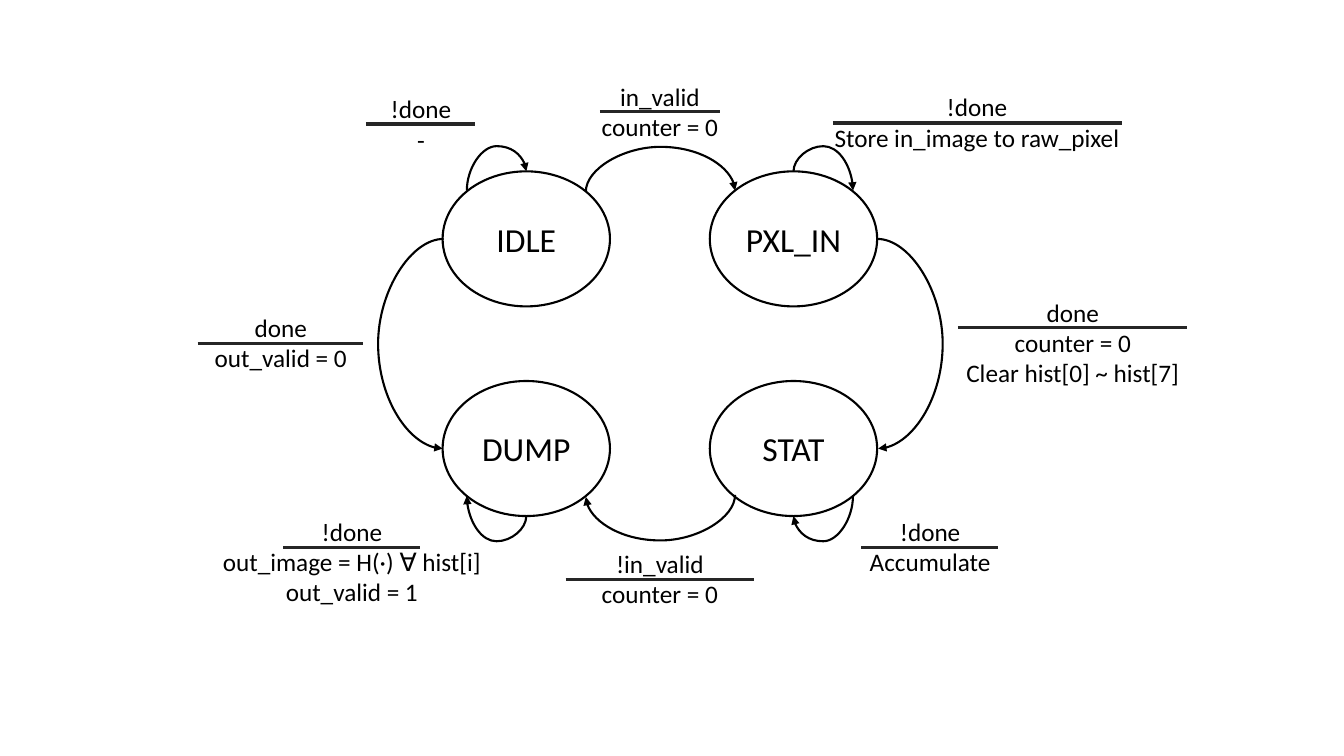
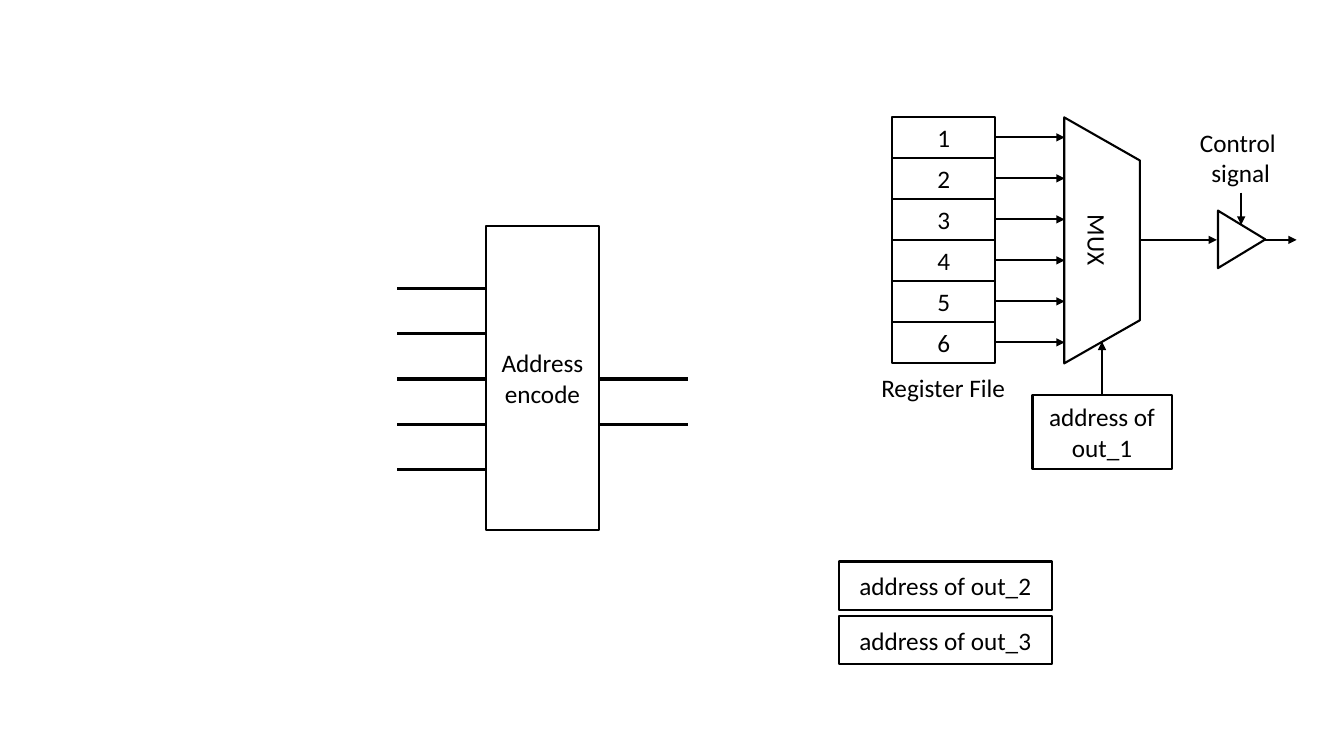
from lxml import etree
from pptx import Presentation
from pptx.dml.color import RGBColor
from pptx.enum.shapes import MSO_CONNECTOR, MSO_SHAPE
from pptx.enum.text import MSO_ANCHOR, MSO_AUTO_SIZE, PP_ALIGN
from pptx.oxml.ns import qn
from pptx.util import Inches, Pt

STRAIGHT, CURVE = MSO_CONNECTOR.STRAIGHT, MSO_CONNECTOR.CURVE
OVAL, RECTANGLE = MSO_SHAPE.OVAL, MSO_SHAPE.RECTANGLE
TRAPEZOID, TRIANGLE = MSO_SHAPE.TRAPEZOID, MSO_SHAPE.ISOSCELES_TRIANGLE
CENTER, MIDDLE = PP_ALIGN.CENTER, MSO_ANCHOR.MIDDLE
FIT_TEXT = MSO_AUTO_SIZE.SHAPE_TO_FIT_TEXT

FONT = "Calibri"
BLACK, WHITE, RULE_COLOR = "000000", "FFFFFF", "262626"
THIN, THICK = 1.5, 2.25
BLANK_LAYOUT = 6

STATE_SIZE = (1.66, 1.34)
STATES = [("IDLE", 4.39, 1.7), ("PXL_IN", 7.04, 1.7),
          ("STAT", 7.04, 3.78), ("DUMP", 4.39, 3.78)]

# Text lines, text box, then left end, right end and height of the rule
TRANSITION_LABELS = [
    (["in_valid", "counter = 0"], (5.86, 0.76, 1.37, 0.71), (5.95, 7.14, 1.11)),
    (["!done", "Store in_image to raw_pixel"], (8.16, 0.86, 3.06, 0.71), (8.26, 11.13, 1.22)),
    (["done", "counter = 0", "Clear hist[0] ~ hist[7]"],
     (9.47, 2.9, 2.34, 1.01), (9.5, 11.77, 3.25)),
    (["!done", "Accumulate"], (8.52, 5.07, 1.41, 0.71), (8.54, 9.9, 5.43)),
    (["!in_valid", "counter = 0"], (5.86, 5.39, 1.37, 0.71), (5.61, 7.48, 5.75)),
    (["!done", "out_image = H(·) ∀ hist[i]", "out_valid = 1"],
     (2.1, 5.07, 2.78, 1.01), (2.81, 4.17, 5.43)),
    (["done", "out_valid = 0"], (2.02, 3.05, 1.53, 0.71), (1.96, 3.6, 3.41)),
    (["!done", "-"], (3.77, 0.88, 0.81, 0.71), (3.63, 4.71, 1.23)),
]

# Start, end and the height that the arc reaches
VERTICAL_ARCS = [
    ((5.81, 1.9), (7.29, 1.89), 1.45),
    ((7.87, 1.7), (8.46, 1.89), 1.45),
    ((7.29, 4.91), (5.81, 4.93), 5.36),
    ((5.22, 5.12), (4.63, 4.92), 5.37),
    ((4.63, 1.89), (5.22, 1.7), 1.45),
    ((8.46, 4.92), (7.87, 5.12), 5.37),
]
# Start, end and the horizontal position that the arc reaches
SIDE_ARCS = [
    ((4.4, 2.37), (4.39, 4.45), 3.74),
    ((8.7, 2.37), (8.71, 4.45), 9.36),
]


def color(hex_value):
    return RGBColor.from_string(hex_value)


def write_text(shape, lines, size=18):
    frame = shape.text_frame
    frame.text = "\n".join(lines)
    for paragraph in frame.paragraphs:
        paragraph.alignment = CENTER
        paragraph.font.name = FONT
        paragraph.font.size = Pt(size)
        paragraph.font.color.rgb = color(BLACK)


def add_block(slide, kind, box, text="", size=18, fill=WHITE, rotation=0):
    shape = slide.shapes.add_shape(kind, *map(Inches, box))
    shape.shadow.inherit = False
    shape.rotation = rotation
    if fill:
        shape.fill.solid()
        shape.fill.fore_color.rgb = color(fill)
    else:
        shape.fill.background()
    shape.line.color.rgb = color(BLACK)
    shape.line.width = Pt(THIN)
    if text:
        shape.text_frame.word_wrap = True
        shape.text_frame.vertical_anchor = MIDDLE
        write_text(shape, [text], size)
    return shape


def add_text(shapes, box, lines, wrap):
    text_box = shapes.add_textbox(*map(Inches, box))
    text_box.text_frame.word_wrap = wrap
    text_box.text_frame.auto_size = FIT_TEXT
    write_text(text_box, lines)


def add_line(shapes, start, end, width=THIN, hex_value=BLACK, kind=STRAIGHT, arrow=False):
    line = shapes.add_connector(kind, *map(Inches, (*start, *end)))
    line.line.color.rgb = color(hex_value)
    line.line.width = Pt(width)
    properties = line._element.spPr
    if arrow:
        etree.SubElement(properties.find(qn("a:ln")), qn("a:tailEnd"), type="triangle")
    etree.SubElement(properties, qn("a:effectLst"))
    return line


def add_arrow(slide, start, end):
    return add_line(slide.shapes, start, end, arrow=True)


def add_arc(slide, start, end, reach, bend):
    """Draw a curved arrow; bend is its reach as a share of the way to its end."""
    arc = add_line(slide.shapes, start, end, kind=CURVE, arrow=True)
    guides = arc._element.spPr.find(qn("a:prstGeom")).get_or_add_avLst()
    etree.SubElement(guides, qn("a:gd"), name="adj1", fmla=f"val {round(bend * 100000)}")
    return arc


def add_side_arc(slide, start, end, reach):
    add_arc(slide, start, end, reach, (reach - start[0]) / (end[0] - start[0]))


def add_vertical_arc(slide, start, end, reach):
    """Lay the arc on its side around its middle, then turn it upright."""
    across, down = end[0] - start[0], end[1] - start[1]
    turn = -1 if across > 0 and down > 0 else 1
    middle_x, middle_y = (start[0] + end[0]) / 2, (start[1] + end[1]) / 2
    half_x, half_y = turn * down / 2, -turn * across / 2
    arc = add_arc(slide, (middle_x - half_x, middle_y - half_y),
                  (middle_x + half_x, middle_y + half_y), reach, (reach - start[1]) / down)
    arc._element.spPr.find(qn("a:xfrm")).set("rot", str(turn * 90 % 360 * 60000))


def add_transition_label(slide, lines, box, rule):
    left, right, top = rule
    group = slide.shapes.add_group_shape()
    add_text(group.shapes, box, lines, wrap=False)
    add_line(group.shapes, (left, top), (right, top), THICK, RULE_COLOR)


def build_state_diagram(slide):
    for name, left, top in STATES:
        add_block(slide, OVAL, (left, top, *STATE_SIZE), name, size=24, fill=None)
    for label in TRANSITION_LABELS:
        add_transition_label(slide, *label)
    for arc in VERTICAL_ARCS:
        add_vertical_arc(slide, *arc)
    for arc in SIDE_ARCS:
        add_side_arc(slide, *arc)


def build_encoder(slide):
    left, width, wire, pitch = 4.82, 1.12, 0.88, 0.45
    right = left + width
    add_block(slide, RECTANGLE, (left, 2.24, width, 3.02), "Address\vencode")
    for index in range(5):
        y = 2.86 + index * pitch
        add_line(slide.shapes, (left - wire, y), (left, y), THICK)
        if index in (2, 3):
            add_line(slide.shapes, (right, y), (right + wire, y), THICK)


def build_register_output(slide):
    left, top, width, height, count = 8.85, 1.16, 1.02, 2.44, 6
    row = height / count
    axis = top + height / 2

    # Registers and their wires into the multiplexer
    for index in range(count):
        y = top + index * row
        add_block(slide, RECTANGLE, (left, y, width, row), str(index + 1))
        add_arrow(slide, (left + width, y + row / 2), (10.56, y + row / 2))
    add_text(slide.shapes, (8.61, 3.64, 1.49, 0.4), ["Register File"], wrap=True)

    # Multiplexer and its address
    multiplexer = add_block(slide, TRAPEZOID, (9.71, 2.01, height, 0.75), "MUX", rotation=90)
    multiplexer.adjustments[0] = 0.57
    add_block(slide, RECTANGLE, (10.24, 3.92, 1.38, 0.73), "address of out_1")
    add_arrow(slide, (10.93, 3.92), (10.93, 3.39))
    for number, y in ((2, 5.57), (3, 6.11)):
        add_block(slide, RECTANGLE, (8.32, y, 2.11, 0.48), f"address of out_{number}")

    # Output buffer and its control signal
    add_arrow(slide, (11.31, axis), (12.07, axis))
    add_text(slide.shapes, (11.5, 1.21, 1.61, 0.71), ["Control ", "signal"], wrap=True)
    add_block(slide, TRIANGLE, (12.03, 2.14, 0.57, 0.47), rotation=90)
    add_arrow(slide, (12.31, 1.91), (12.31, 2.23))
    add_arrow(slide, (12.55, axis), (12.86, axis))


def main():
    presentation = Presentation()
    presentation.slide_width = Inches(13.33)
    presentation.slide_height = Inches(7.5)
    layout = presentation.slide_layouts[BLANK_LAYOUT]
    build_state_diagram(presentation.slides.add_slide(layout))
    circuit = presentation.slides.add_slide(layout)
    build_encoder(circuit)
    build_register_output(circuit)
    presentation.save("out.pptx")


main()
